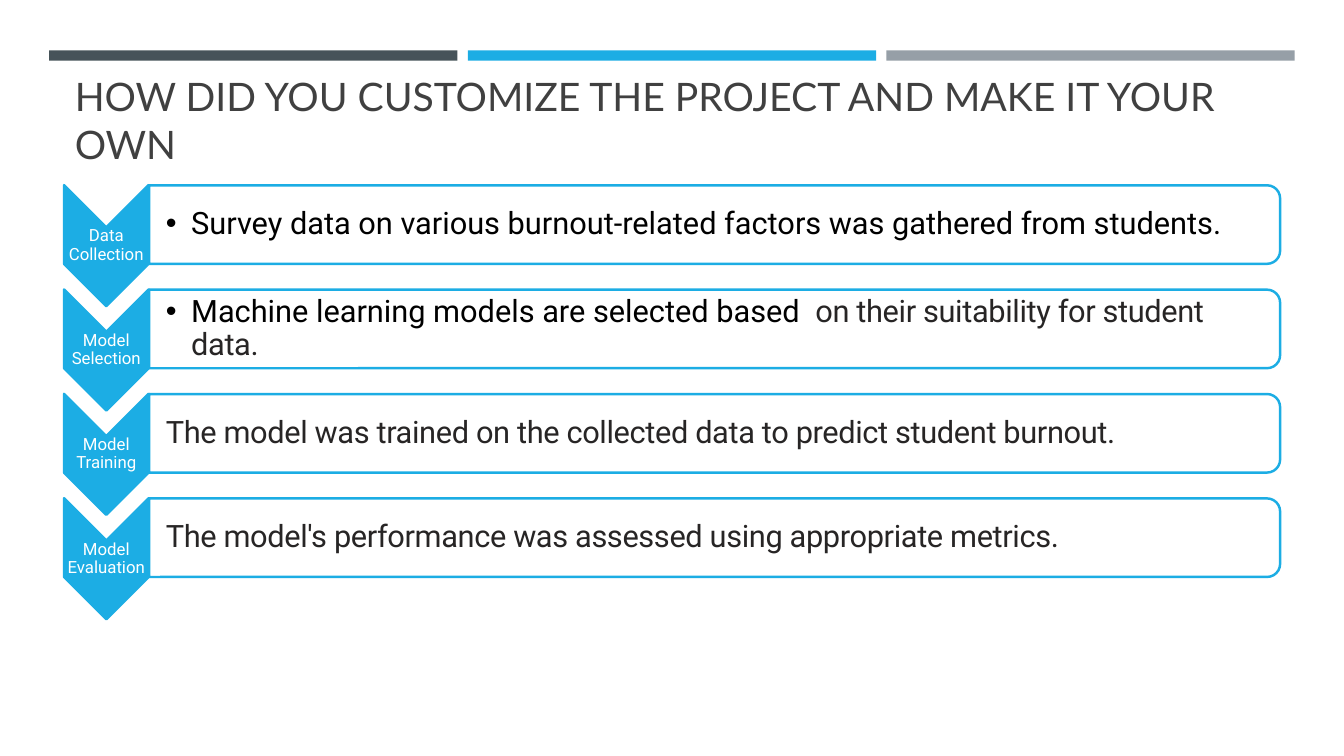
from lxml.etree import SubElement
from pptx import Presentation
from pptx.dml.color import RGBColor
from pptx.enum.shapes import MSO_SHAPE
from pptx.enum.text import MSO_ANCHOR, MSO_AUTO_SIZE, PP_ALIGN
from pptx.oxml.ns import qn
from pptx.util import Cm, Pt

TITLE = "HOW DID YOU CUSTOMIZE THE PROJECT AND MAKE IT YOUR OWN"
# Each step: label, bulleted, runs of (text, colour, letter spacing in 1/100 pt)
STEPS = [
    ("Data Collection", True, [
        ("Survey data on various burnout-related factors was gathered from students.", "black", 0)]),
    ("Model Selection", True, [
        ("Machine learning models are selected based  ", "black", 0),
        ("on their suitability for student data.", "ink", -26)]),
    ("Model Training", False, [
        ("The model was trained on the collected data to predict student burnout.", "ink", -26)]),
    ("Model Evaluation", False, [
        ("The model's performance was assessed using appropriate metrics.", "ink", -26)]),
]
COLORS = {"slate": "465359", "blue": "1CADE4", "gray": "969FA7", "title": "404040",
          "ink": "272525", "black": "000000", "white": "FFFFFF"}
BANDS = ["slate", "blue", "gray"]

BAND_LEFT, BAND_TOP, BAND_WIDTH, BAND_HEIGHT, BAND_PITCH = 1.24, 1.27, 10.29, 0.26, 10.55
FIRST_ROW, ROW_PITCH = 5.66, 2.63      # centre of the first card, step to the next
CHEVRON_X, CHEVRON_DROP, CHEVRON_LENGTH, CHEVRON_WIDTH = 2.68, 0.53, 3.05, 2.13
LABEL_HEIGHT = 0.91
CARD_X, CARD_LENGTH, CARD_WIDTH = 18.01, 28.5, 1.98
BODY_X, BODY_WIDTH, BODY_HEIGHT = 17.96, 28.42, 1.78
HANG = Cm(0.64)


def rgb(name):
    return RGBColor.from_string(COLORS[name])


def centred(x, y, width, height):
    """Left, top, width and height of a frame around a centre point."""
    return Cm(x - width / 2), Cm(y - height / 2), Cm(width), Cm(height)


def add_filled(slide, preset, frame, fill, line=None, rotation=0):
    shape = slide.shapes.add_shape(preset, *frame)
    shape.rotation = rotation
    shape.shadow.inherit = False
    shape.fill.solid()
    shape.fill.fore_color.rgb = rgb(fill)
    if line:
        shape.line.color.rgb = rgb(line)
        shape.line.width = Pt(1.75)
    else:
        shape.line.fill.background()


def style_run(run, font, size, color):
    run.font.name = font
    run.font.size = Pt(size)
    run.font.color.rgb = rgb(color)


def add_text(slide, frame, left_inset, inset):
    """Add a wrapping, middle-anchored text box and return its paragraph."""
    text = slide.shapes.add_textbox(*frame).text_frame
    text.word_wrap = True
    text.vertical_anchor = MSO_ANCHOR.MIDDLE
    text.margin_left = Cm(left_inset)
    text.margin_top = text.margin_right = text.margin_bottom = Cm(inset)
    paragraph = text.paragraphs[0]
    paragraph.line_spacing = 0.9
    return paragraph


def add_step(slide, center, label, bulleted, runs):
    chevron_y = center + CHEVRON_DROP
    add_filled(slide, MSO_SHAPE.CHEVRON,
               centred(CHEVRON_X, chevron_y, CHEVRON_LENGTH, CHEVRON_WIDTH),
               "blue", "blue", 90)
    caption = add_text(slide, centred(CHEVRON_X, chevron_y, CHEVRON_WIDTH, LABEL_HEIGHT),
                       0.02, 0.02)
    caption.text = label
    caption.alignment = PP_ALIGN.CENTER
    style_run(caption.runs[0], "Roboto", 12, "white")

    add_filled(slide, MSO_SHAPE.ROUND_2_SAME_RECTANGLE,
               centred(CARD_X, center, CARD_WIDTH, CARD_LENGTH), "white", "blue", 90)
    body = add_text(slide, centred(BODY_X, center, BODY_WIDTH, BODY_HEIGHT), 0.43, 0.05)
    properties = body._p.get_or_add_pPr()
    properties.set("marL", str(HANG))
    properties.set("indent", str(-HANG))
    if bulleted:
        SubElement(properties, qn("a:buFont"), typeface="Arial")
        SubElement(properties, qn("a:buChar"), char="•")
    else:
        SubElement(properties, qn("a:buNone"))
    for words, color, spacing in runs:
        run = body.add_run()
        run.text = words
        style_run(run, "Roboto", 22, color)
        if spacing:
            run.font._element.set("spc", str(spacing))


def main():
    deck = Presentation()
    deck.slide_width, deck.slide_height = Cm(33.87), Cm(19.05)
    slide = deck.slides.add_slide(deck.slide_layouts[5])

    for index, color in enumerate(BANDS):
        left = BAND_LEFT + index * BAND_PITCH
        add_filled(slide, MSO_SHAPE.RECTANGLE,
                   (Cm(left), Cm(BAND_TOP), Cm(BAND_WIDTH), Cm(BAND_HEIGHT)), color)

    title = slide.shapes.title
    title.left, title.top, title.width, title.height = Cm(1.63), Cm(1.37), Cm(30.63), Cm(3.3)
    heading = title.text_frame
    heading.text = TITLE
    heading.word_wrap = True
    heading.auto_size = MSO_AUTO_SIZE.NONE
    heading.vertical_anchor = MSO_ANCHOR.MIDDLE
    heading.paragraphs[0].alignment = PP_ALIGN.LEFT
    style_run(heading.paragraphs[0].runs[0], "Lato", 28, "title")

    for index, (label, bulleted, runs) in enumerate(STEPS):
        add_step(slide, FIRST_ROW + index * ROW_PITCH, label, bulleted, runs)

    deck.save("out.pptx")


if __name__ == "__main__":
    main()
